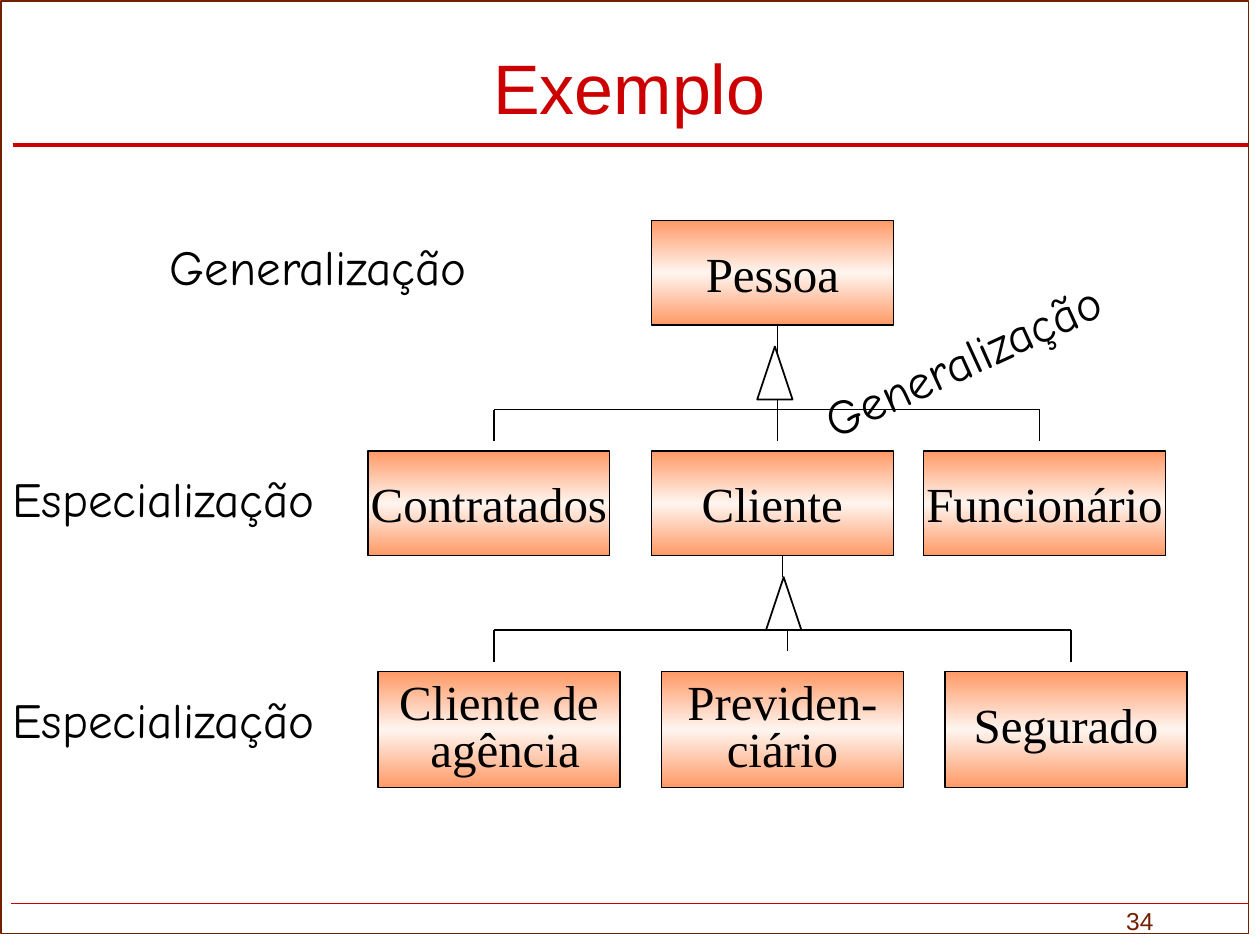
import copy
from dataclasses import dataclass

import pptx
import pptx.dml.color
import pptx.enum.shapes
import pptx.enum.text
import pptx.oxml.ns
import pptx.oxml.xmlchemy
import pptx.util

COLUMNS, ROWS = 120, 90
SHAPE = pptx.enum.shapes.MSO_SHAPE
ALIGN = pptx.enum.text.PP_ALIGN
ANCHOR = pptx.enum.text.MSO_ANCHOR


@dataclass(frozen=True)
class Theme:
    """Colours, fonts and sizes of the slide."""
    ink: str = "000000"
    paper: str = "FFFFFF"
    accent: str = "CC0000"
    frame: str = "712000"
    class_stops: tuple = ((0, "FF9966"), (0.5, "FFF5EF"), (1, "FF9966"))
    heading_font: str = "Arial"
    class_font: str = "Times New Roman"
    label_font: str = "Comic Neue"
    title_size: int = 40
    body_size: int = 28
    number_size: int = 14


THEME = Theme()


def grid(*cells):
    """Turn grid cells, twelve to the inch, into slide lengths."""
    return [pptx.util.Inches(round(cell / 12, 2)) for cell in cells]


def rgb(code):
    """Read a hexadecimal colour."""
    return pptx.dml.color.RGBColor.from_string(code)


def write(frame, lines, font, size, color, align=ALIGN.LEFT, spacing=None, wrap=True):
    """Write lines as paragraphs of one run each."""
    frame.word_wrap = wrap
    for index, line in enumerate(lines):
        paragraph = frame.paragraphs[0] if index == 0 else frame.add_paragraph()
        paragraph.alignment = align
        if spacing:
            paragraph.line_spacing = spacing
        run = paragraph.add_run()
        run.text = line
        run.font.name = font
        run.font.size = pptx.util.Pt(size)
        run.font.color.rgb = rgb(color)


def add_line(shapes, start, end, color=THEME.ink, weight=1):
    """Draw a straight line between two grid points."""
    line = shapes.add_connector(
        pptx.enum.shapes.MSO_CONNECTOR.STRAIGHT, *grid(*start, *end))
    line.line.color.rgb = rgb(color)
    line.line.width = pptx.util.Pt(weight)
    line._element.spPr.append(pptx.oxml.xmlchemy.OxmlElement("a:effectLst"))


def add_outlined(shapes, kind, box, color=THEME.ink, weight=1):
    """Add an outlined preset shape without shadow or fill."""
    shape = shapes.add_shape(kind, *grid(*box))
    shape.shadow.inherit = False
    shape.fill.background()
    shape.line.color.rgb = rgb(color)
    shape.line.width = pptx.util.Pt(weight)
    return shape


def add_class(shapes, box, lines, spacing=None):
    """Add a shaded class box with its centred name."""
    class_box = add_outlined(shapes, SHAPE.RECTANGLE, box, weight=0.75)
    class_box.fill.gradient()
    class_box.fill.gradient_angle = 90
    stop_list = class_box._element.spPr.find(".//" + pptx.oxml.ns.qn("a:gsLst"))
    stop_list.append(copy.deepcopy(stop_list[0]))
    for stop, (position, color) in zip(class_box.fill.gradient_stops, THEME.class_stops):
        stop.position = position
        stop.color.rgb = rgb(color)
    class_box.text_frame.vertical_anchor = ANCHOR.MIDDLE
    write(class_box.text_frame, lines, THEME.class_font, THEME.body_size,
          THEME.ink, ALIGN.CENTER, spacing, wrap=False)


def add_inheritance(shapes, box, stem, weight=1):
    """Add a triangle and a stem given as offset and span within the box."""
    left, top, width, height = box
    offset, begin, end = stem
    add_line(shapes, (left + offset, top + begin), (left + offset, top + end),
             weight=weight)
    triangle = add_outlined(shapes, SHAPE.ISOSCELES_TRIANGLE, (left, top, width, height))
    triangle.fill.solid()
    triangle.fill.fore_color.rgb = rgb(THEME.paper)


def add_level(shapes, box, children, drops, spacing=None):
    """Add sibling classes under a branching bar inside the box."""
    left, top, width, height = box
    drop_columns = [column for column, _ in drops]
    add_line(shapes, (left + max(drop_columns), top), (left + min(drop_columns), top))
    for column, length in drops:
        add_line(shapes, (left + column, top), (left + column, top + length))
    for column, lines in children:
        add_class(shapes, (left + column, top + 4, width, height - 4), lines, spacing)


def add_label(slide, box, text, rotation=0):
    """Add a handwritten label naming a relation."""
    label = slide.shapes.add_textbox(*grid(*box))
    label.rotation = rotation
    write(label.text_frame, [text], THEME.label_font, THEME.body_size, THEME.ink)


def add_page(slide, box, number):
    """Add the frame, the two rules and the page number."""
    left, top, width, height = box
    right = left + width
    add_line(slide.shapes, (left + 1.1, top + 13.7), (right, top + 13.7),
             THEME.accent, 2)
    page = slide.shapes.add_textbox(*grid(left + 106, top + 85.6, 13.9, 4.3))
    write(page.text_frame, [number], THEME.heading_font, THEME.number_size,
          THEME.frame, wrap=False)
    add_line(slide.shapes, (left + 1, top + 85.9), (right, top + 85.9), THEME.accent)
    add_outlined(slide.shapes, SHAPE.RECTANGLE, box, THEME.frame)


def add_title(slide, box, text):
    """Place and fill the title placeholder."""
    title = slide.shapes.title
    title.left, title.top, title.width, title.height = grid(*box)
    title.text_frame.vertical_anchor = ANCHOR.MIDDLE
    write(title.text_frame, [text], THEME.heading_font, THEME.title_size,
          THEME.accent, ALIGN.CENTER)


def main():
    """Build the class hierarchy slide."""
    deck = pptx.Presentation()
    deck.slide_width, deck.slide_height = grid(COLUMNS, ROWS)
    slide = deck.slides.add_slide(deck.slide_layouts[5])

    add_page(slide, (0.1, 0.1, COLUMNS - 1.2, ROWS - 1.2), "34")
    add_title(slide, (28, 2.5, 64, 11.4), "Exemplo")

    clients = slide.shapes.add_group_shape().shapes
    add_inheritance(clients, (73, 55, 3.4, 5), (1.5, -6, 0), weight=0.75)
    add_level(clients, (36, 60, 23, 15),
              [(0, ["Cliente de", " agência"]), (27, ["Previden-", "ciário"]),
               (54, ["Segurado"])],
              [(11, 3), (39, 2), (66, 3)], spacing=0.8)

    add_label(slide, (0, 44, 34, 6.7), "Especialização")
    add_label(slide, (15, 22, 39.2, 6.7), "Generalização")
    add_label(slide, (0, 65, 38, 6.7), "Especialização")

    person = slide.shapes.add_group_shape().shapes
    add_class(person, (62, 21, 23, 10), ["Pessoa"])
    add_inheritance(person, (72.1, 33, 3.4, 5), (1.9, -2, 8))

    people = slide.shapes.add_group_shape().shapes
    add_level(people, (35, 39, 23, 14),
              [(0, ["Contratados"]), (27, ["Cliente"]), (53, ["Funcionário"])],
              [(12, 3), (39, 3), (64, 3)])

    add_label(slide, (76, 29, 39.2, 6.7), "Generalização", rotation=335.3)
    deck.save("out.pptx")


if __name__ == "__main__":
    main()
